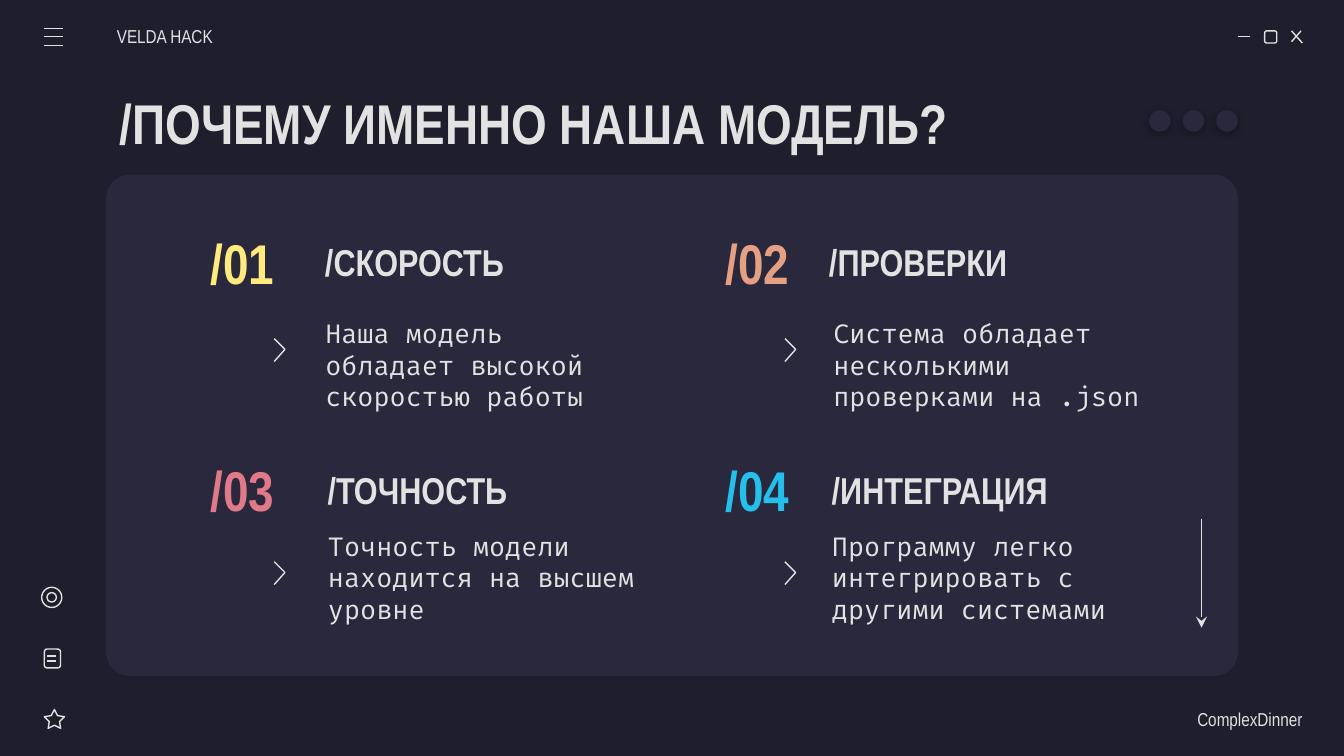
import pptx
import pptx.util
import pptx.dml.color
import pptx.enum.shapes
import pptx.enum.text
import pptx.oxml
import pptx.oxml.ns

Inches = pptx.util.Inches
Pt = pptx.util.Pt
RGB = pptx.dml.color.RGBColor.from_string
MSO = pptx.enum.shapes.MSO_SHAPE
ALIGN = pptx.enum.text.PP_ALIGN
qn = pptx.oxml.ns.qn

COLORS = {
    "back": "1E1E2C", "panel": "29283D", "light": "E2E2E2",
    "yellow": "FFEA7D", "orange": "E5A083", "pink": "E07A88", "blue": "24BFEB",
}


def write(box, spot, text, size, color="light", font="Arial Narrow",
          bold=True, align=ALIGN.LEFT, left=0.1, right=0.1):
    box.left, box.top, box.width, box.height = [Inches(v) for v in spot]
    frame = box.text_frame
    frame.text = text
    frame.word_wrap = True
    frame.auto_size = pptx.enum.text.MSO_AUTO_SIZE.NONE
    frame.vertical_anchor = pptx.enum.text.MSO_ANCHOR.MIDDLE
    frame.margin_left, frame.margin_right = Inches(left), Inches(right)
    frame.margin_top = frame.margin_bottom = Inches(0.1)
    para = frame.paragraphs[0]
    para.alignment = align
    para.space_before = Pt(0)
    face = para.runs[0].font
    face.name, face.size, face.bold = font, Pt(size), bold
    face.color.rgb = RGB(COLORS[color])
    return para


def style(shape, fill=None):
    if fill:
        shape.fill.solid()
        shape.fill.fore_color.rgb = RGB(COLORS[fill])
        shape.line.fill.background()
    else:
        if hasattr(shape, "fill"):
            shape.fill.background()
        shape.line.color.rgb = RGB(COLORS["light"])
        shape.line.width = Pt(0.75)
    effect = pptx.oxml.parse_xml(f'<a:effectLst {pptx.oxml.ns.nsdecls("a")}/>')
    shape.element.spPr.append(effect)
    return effect


deck = pptx.Presentation()
deck.slide_width = Inches(10)
deck.slide_height = Inches(10 * 9 / 16)
slide = deck.slides.add_slide(deck.slide_layouts[4])
slide.background.fill.solid()
slide.background.fill.fore_color.rgb = RGB(COLORS["back"])
shapes = slide.shapes

panel = shapes.add_shape(MSO.ROUNDED_RECTANGLE, Inches(0.79), Inches(1.3),
                         Inches(8.42), Inches(3.73))
panel.adjustments[0] = 0.047
style(panel, "panel")
shapes.element.insert(2, panel.element)

write(shapes.title, (0.79, 0.59, 8.43, 0.63), "/ПОЧЕМУ ИМЕННО НАША МОДЕЛЬ?", 30)

cards = [
    ("/01", "yellow", 1.35, 1.67, "/СКОРОСТЬ", 2.32,
     "Наша модель обладает высокой скоростью работы", 2.32, 2.34),
    ("/02", "orange", 5.18, 1.67, "/ПРОВЕРКИ", 6.07,
     "Система обладает несколькими проверками на .json", 6.1, 2.34),
    ("/03", "pink", 1.35, 3.36, "/ТОЧНОСТЬ", 2.34,
     "Точность модели находится на высшем уровне", 2.34, 3.92),
    ("/04", "blue", 5.18, 3.36, "/ИНТЕГРАЦИЯ", 6.09,
     "Программу легко интегрировать с другими системами", 6.09, 3.92),
]
bodies = [p for p in slide.placeholders if p.placeholder_format.idx > 0]
for body, card in zip(bodies, cards):
    mark, color, left, top, name, head, text, x, y = card
    write(shapes.add_textbox(0, 0, 0, 0), (left, top, 0.91, 0.56), mark, 30,
          color, align=ALIGN.CENTER)
    write(shapes.add_textbox(0, 0, 0, 0), (head, top, 2.56, 0.56), name, 20)
    para = write(body, (x, y, 2.56, 0.75), text, 14, font="Fira Code", bold=False)
    props = para._p.get_or_add_pPr()
    props.set("marL", "0")
    props.set("indent", "0")
    props.append(props.makeelement(qn("a:buNone"), {}))

write(shapes.add_textbox(0, 0, 0, 0), (0.87, 0.12, 1.17, 0.3), "VELDA HACK", 10,
      bold=False, left=0)
write(shapes.add_textbox(0, 0, 0, 0), (8.52, 5.2, 1.17, 0.3), "ComplexDinner", 10,
      bold=False, align=ALIGN.RIGHT, right=0)

icons = [
    (MSO.ROUNDED_RECTANGLE, 9.41, 0.23, 0.09, 0.09),
    (MSO.STAR_5_POINT, 0.33, 5.28, 0.15, 0.14),
    (MSO.ROUNDED_RECTANGLE, 0.33, 4.83, 0.12, 0.14),
    (MSO.OVAL, 0.31, 4.37, 0.15, 0.15),
    (MSO.OVAL, 0.35, 4.41, 0.07, 0.07),
]
for kind, *spot in icons:
    icon = shapes.add_shape(kind, *[Inches(v) for v in spot])
    if kind == MSO.STAR_5_POINT:
        icon.adjustments[0] = 0.254
    style(icon)

lines = [
    (9.21, 0.27, 9.3, 0.27), (9.61, 0.23, 9.69, 0.32), (9.68, 0.23, 9.61, 0.31),
    (0.33, 0.21, 0.47, 0.21), (0.33, 0.27, 0.47, 0.27), (0.33, 0.34, 0.47, 0.34),
    (0.35, 4.88, 0.42, 4.88), (0.35, 4.92, 0.42, 4.92), (8.94, 3.86, 8.94, 4.67),
]
for ends in lines:
    line = shapes.add_connector(pptx.enum.shapes.MSO_CONNECTOR.STRAIGHT,
                                *[Inches(v) for v in ends])
    style(line)
stroke = line.line._get_or_add_ln()
stroke.append(stroke.makeelement(qn("a:tailEnd"), {"type": "stealth"}))

for x in (2.04, 5.84):
    for y in (2.52, 4.18):
        pen = shapes.build_freeform(Inches(x), Inches(y))
        pen.add_line_segments([(Inches(x + 0.08), Inches(y + 0.08)),
                               (Inches(x), Inches(y + 0.17))], close=False)
        style(pen.convert_to_shape())

for i in range(3):
    dot = shapes.add_shape(MSO.OVAL, Inches(8.55 + 0.25 * i), Inches(0.82),
                           Inches(0.16), Inches(0.16))
    style(dot, "panel").append(pptx.oxml.parse_xml(
        f'<a:outerShdw {pptx.oxml.ns.nsdecls("a")} blurRad="{Pt(4.5)}" '
        f'dist="{Pt(1.5)}" dir="5400000" algn="bl" rotWithShape="0">'
        '<a:srgbClr val="000000"><a:alpha val="30000"/></a:srgbClr></a:outerShdw>'))

deck.save("out.pptx")
